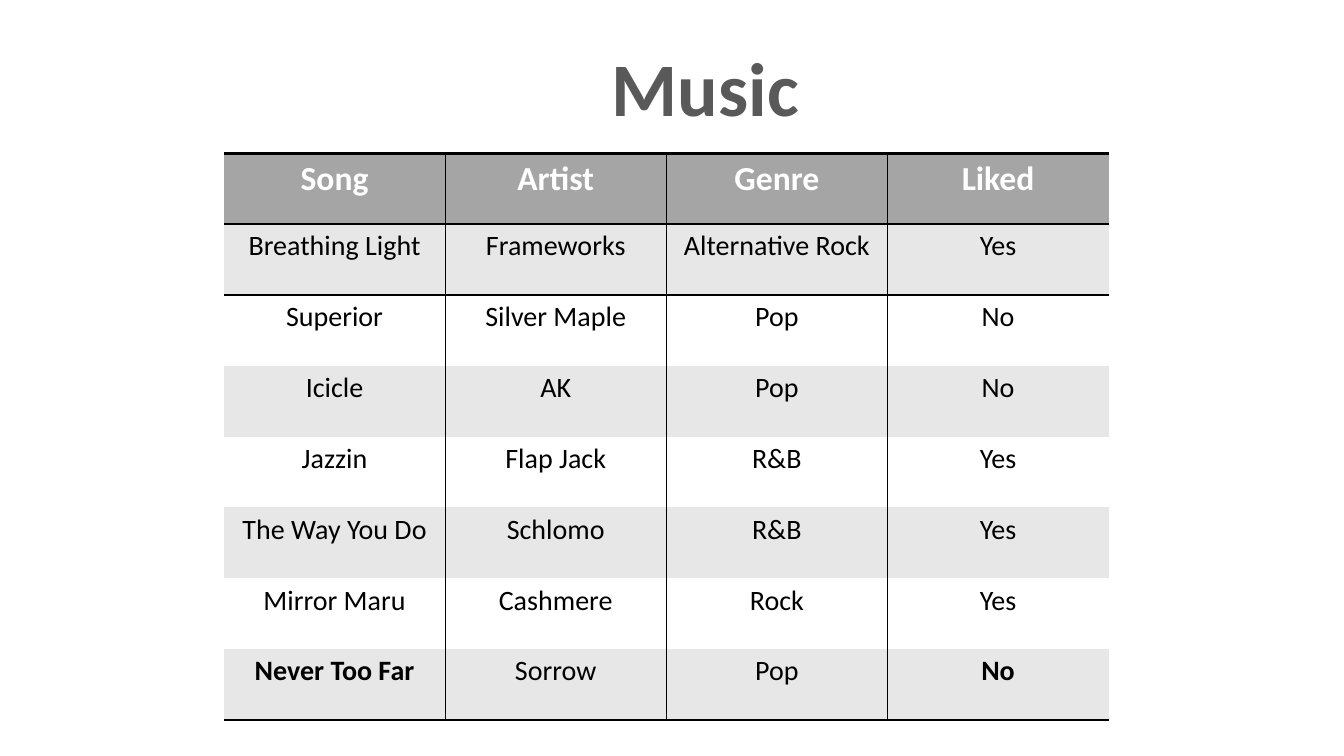
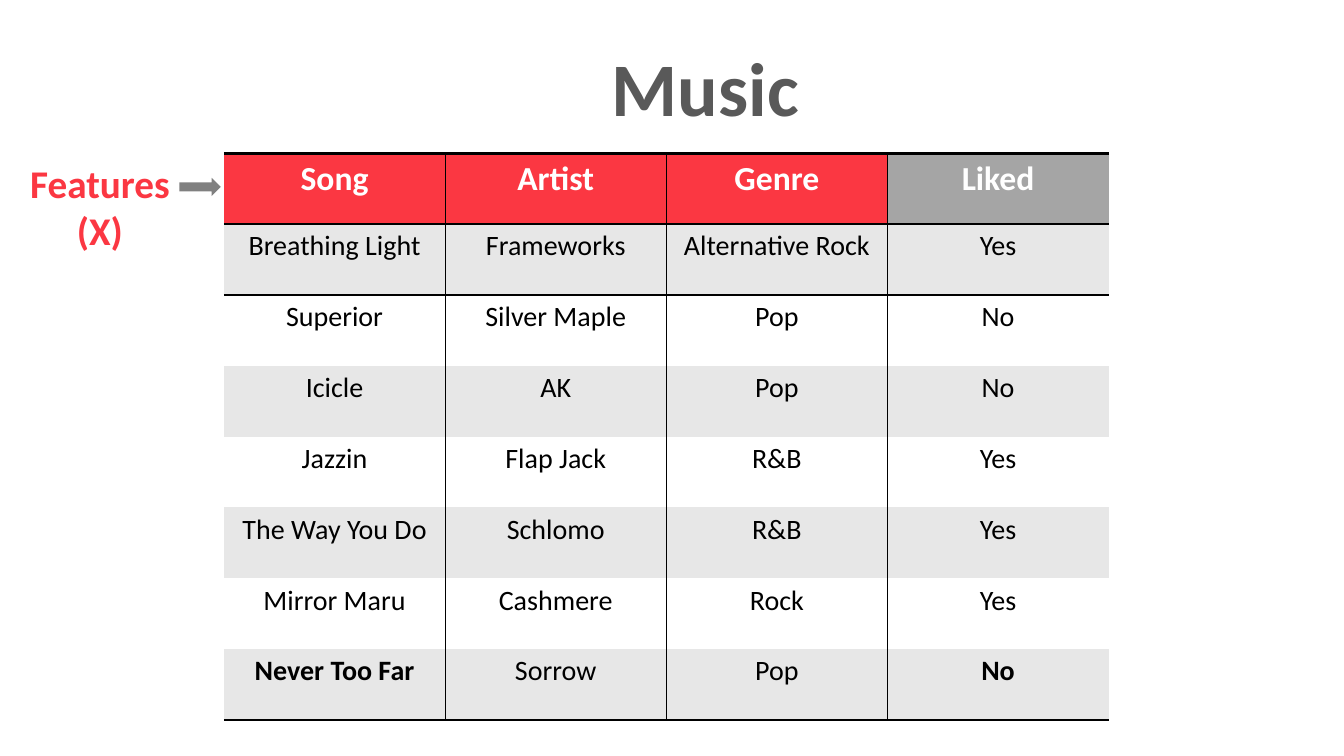
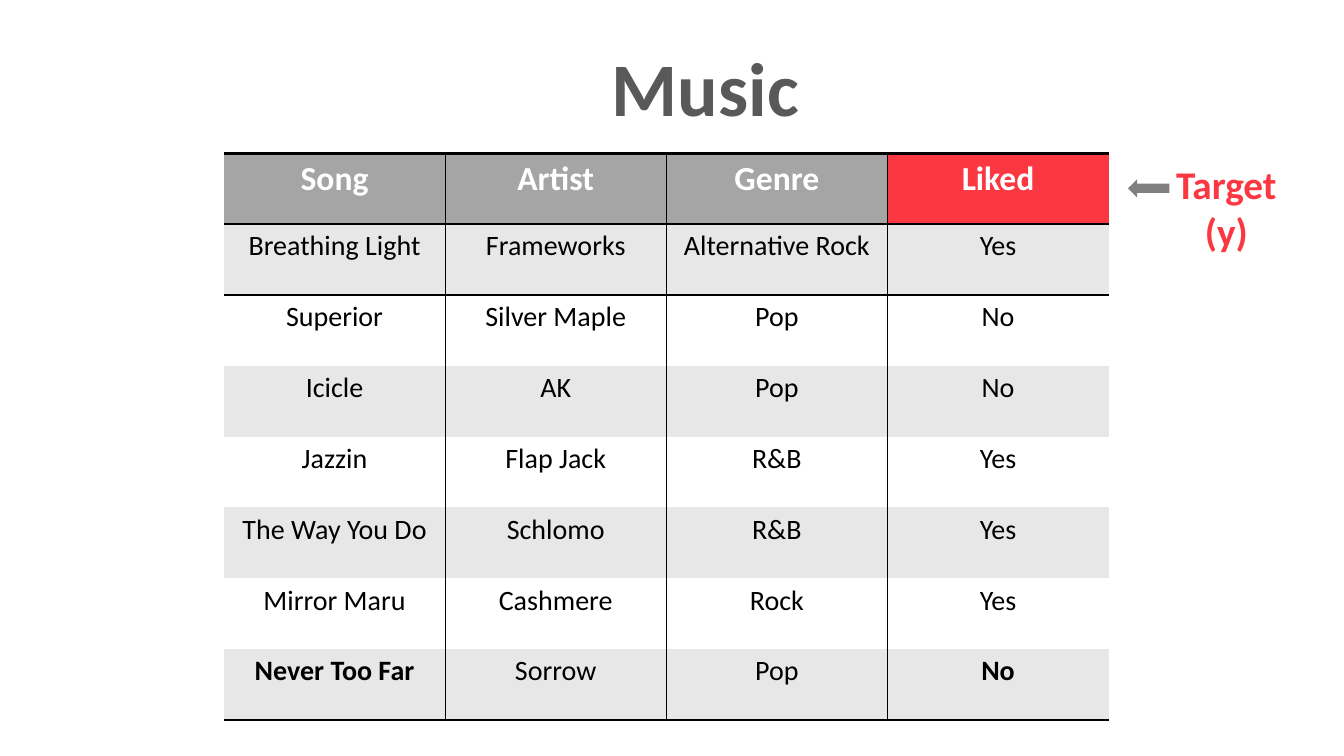
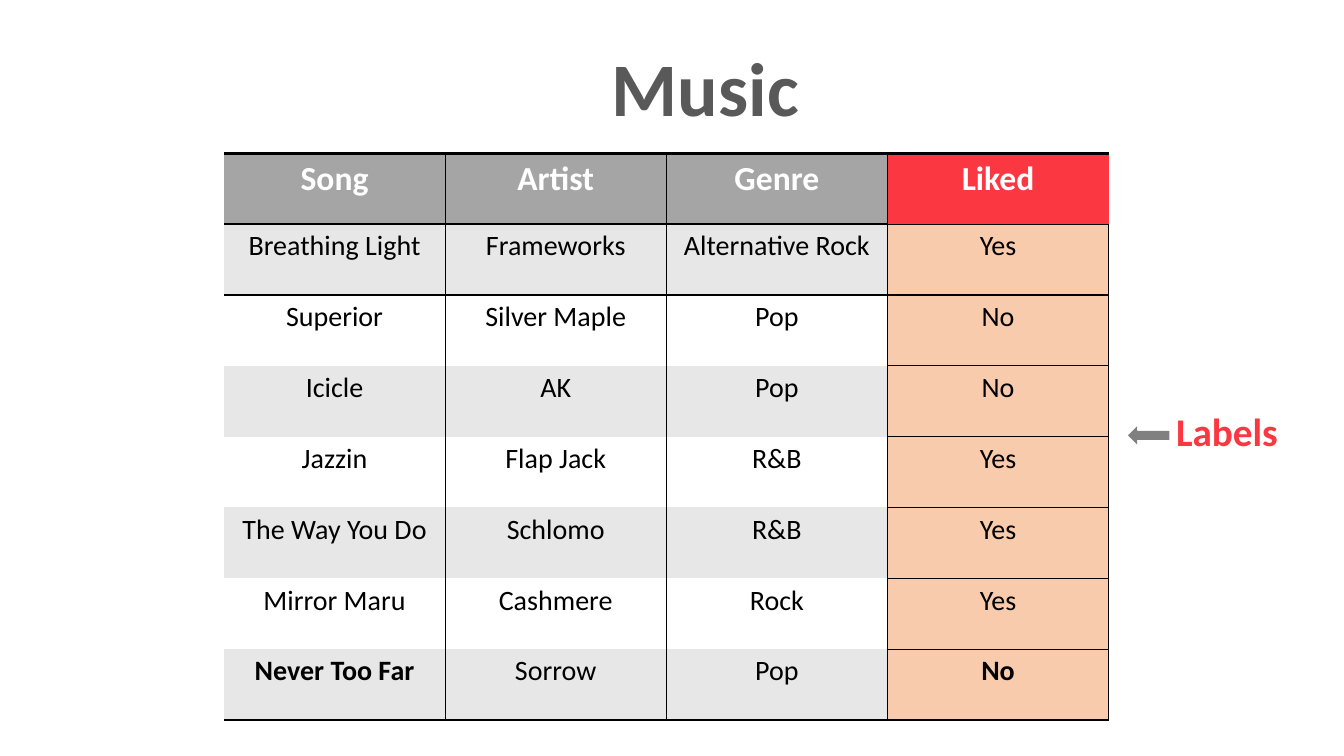
from dataclasses import dataclass

from lxml import etree
from pptx import Presentation
from pptx.dml.color import RGBColor
from pptx.enum.shapes import MSO_SHAPE
from pptx.enum.text import MSO_ANCHOR, MSO_AUTO_SIZE, PP_ALIGN
from pptx.oxml.ns import qn
from pptx.util import Pt

LEFT = PP_ALIGN.LEFT
CENTER = PP_ALIGN.CENTER
TOP = MSO_ANCHOR.TOP
FIT_TEXT = MSO_AUTO_SIZE.SHAPE_TO_FIT_TEXT
RIGHT_ARROW = MSO_SHAPE.RIGHT_ARROW
BLANK_LAYOUT = 6
PLAIN_TABLE_STYLE = "{2D5ABB26-0587-4C30-8999-92F81FD0307C}"


@dataclass(frozen=True)
class Theme:
    font: str = "Calibri"
    title: str = "595959"
    accent: str = "FB3742"
    header: str = "A5A5A5"
    header_text: str = "FFFFFF"
    body_text: str = "000000"
    band: str = "E7E7E7"
    plain: str = "FFFFFF"
    label_cell: str = "F8CBAD"
    arrow: str = "808080"
    border: str = "000000"
    thin: int = 1
    thick: int = 2
    title_size: int = 54
    callout_size: int = 28
    header_size: int = 24
    body_size: int = 20


HEADINGS = ["Song", "Artist", "Genre", "Liked"]
SONGS = [
    ["Breathing Light", "Frameworks", "Alternative Rock", "Yes"],
    ["Superior", "Silver Maple", "Pop", "No"],
    ["Icicle", "AK", "Pop", "No"],
    ["Jazzin", "Flap Jack", "R&B", "Yes"],
    ["The Way You Do", "Schlomo", "R&B", "Yes"],
    ["Mirror Maru", "Cashmere", "Rock", "Yes"],
    ["Never Too Far", "Sorrow", "Pop", "No"],
]
ROWS = [HEADINGS] + SONGS
LAST_ROW = len(ROWS) - 1
LIKED = len(HEADINGS) - 1
BOLD_CELLS = {(LAST_ROW, 0), (LAST_ROW, LIKED)}

TABLE_LEFT, TABLE_TOP = 160, 109.5
COLUMN_WIDTH, ROW_HEIGHT = 158, 50.6
ARROW_WIDTH, ARROW_HEIGHT, ARROW_DROP = 29.5, 13, 17
RIGHT_CALLOUT, RIGHT_ARROW_LEFT = 833, 805.7


class MusicDeck:
    def __init__(self, theme):
        self.theme = theme
        self.deck = Presentation()
        self.deck.slide_width = Pt(960)
        self.deck.slide_height = Pt(540)
        self.page = None

    def add_page(self, highlighted=(), labels=False):
        self.page = self.deck.slides.add_slide(self.deck.slide_layouts[BLANK_LAYOUT])
        self.add_table(highlighted, labels)
        self.add_text(["Music"], 430, 26, 150, 73, self.theme.title_size, self.theme.title)

    def add_span(self, para, text, size, color, bold=True):
        span = para.add_run()
        span.text = text
        span.font.name = self.theme.font
        span.font.size = Pt(size)
        span.font.bold = bold
        span.font.color.rgb = RGBColor.from_string(color)

    def add_text(self, lines, left, top, width, height, size, color):
        box = self.page.shapes.add_textbox(Pt(left), Pt(top), Pt(width), Pt(height))
        frame = box.text_frame
        frame.word_wrap = False
        frame.auto_size = FIT_TEXT
        for index, line in enumerate(lines):
            para = frame.add_paragraph() if index else frame.paragraphs[0]
            para.alignment = CENTER if index else LEFT
            self.add_span(para, line, size, color)

    def add_callout(self, lines, left, top, width, height, arrow_left, rotation=0):
        self.add_text(lines, left, top, width, height,
                      self.theme.callout_size, self.theme.accent)
        arrow = self.page.shapes.add_shape(
            RIGHT_ARROW, Pt(arrow_left), Pt(top + ARROW_DROP),
            Pt(ARROW_WIDTH), Pt(ARROW_HEIGHT))
        arrow.rotation = rotation
        arrow.shadow.inherit = False
        arrow.fill.solid()
        arrow.fill.fore_color.rgb = RGBColor.from_string(self.theme.arrow)
        arrow.line.fill.background()

    def add_table(self, highlighted, labels):
        frame = self.page.shapes.add_table(
            len(ROWS), len(HEADINGS), Pt(TABLE_LEFT), Pt(TABLE_TOP),
            Pt(COLUMN_WIDTH * len(HEADINGS)), Pt(ROW_HEIGHT * len(ROWS)))
        table = frame.table
        table.horz_banding = False
        table._tbl.tblPr.find(qn("a:tableStyleId")).text = PLAIN_TABLE_STYLE
        for column in table.columns:
            column.width = Pt(COLUMN_WIDTH)
        for row_index, texts in enumerate(ROWS):
            table.rows[row_index].height = Pt(ROW_HEIGHT)
            for column_index, text in enumerate(texts):
                self.style_cell(table.cell(row_index, column_index), text,
                                row_index, column_index, highlighted, labels)

    def style_cell(self, cell, text, row, column, highlighted, labels):
        theme = self.theme
        is_header = row == 0
        in_labels = labels and column == LIKED
        if is_header:
            fill = theme.accent if column in highlighted else theme.header
        elif in_labels:
            fill = theme.label_cell
        else:
            fill = theme.band if row % 2 else theme.plain
        cell.vertical_anchor = TOP
        self.add_borders(cell, row, column, in_labels)
        cell.fill.solid()
        cell.fill.fore_color.rgb = RGBColor.from_string(fill)
        para = cell.text_frame.paragraphs[0]
        para.alignment = CENTER
        size = theme.header_size if is_header else theme.body_size
        color = theme.header_text if is_header else theme.body_text
        self.add_span(para, text, size, color, is_header or (row, column) in BOLD_CELLS)

    def add_borders(self, cell, row, column, in_labels):
        thin, thick = self.theme.thin, self.theme.thick
        boxed = thin if in_labels else 0
        widths = {
            "a:lnL": thin if column else 0,
            "a:lnR": thin if column < LIKED else boxed if row else 0,
            "a:lnT": thick if row == 0 else boxed or (thick if row == 1 else 0),
            "a:lnB": boxed or (thick if row in (0, LAST_ROW) else 0),
        }
        properties = cell._tc.get_or_add_tcPr()
        for side, width in widths.items():
            if width:
                line = etree.SubElement(properties, qn(side), w=str(Pt(width)))
                paint = etree.SubElement(line, qn("a:solidFill"))
                etree.SubElement(paint, qn("a:srgbClr"), val=self.theme.border)


music = MusicDeck(Theme())

music.add_page()

music.add_page(highlighted=range(LIKED))
music.add_callout(["Features", "(X)"], 14.5, 110, 115, 75, 128.2)

music.add_page(highlighted=[LIKED])
music.add_callout(["Target", "(y)"], RIGHT_CALLOUT, 111, 87, 75, RIGHT_ARROW_LEFT, 180)

music.add_page(highlighted=[LIKED], labels=True)
music.add_callout(["Labels"], RIGHT_CALLOUT, 287.5, 88, 41, RIGHT_ARROW_LEFT, 180)

music.deck.save("out.pptx")
